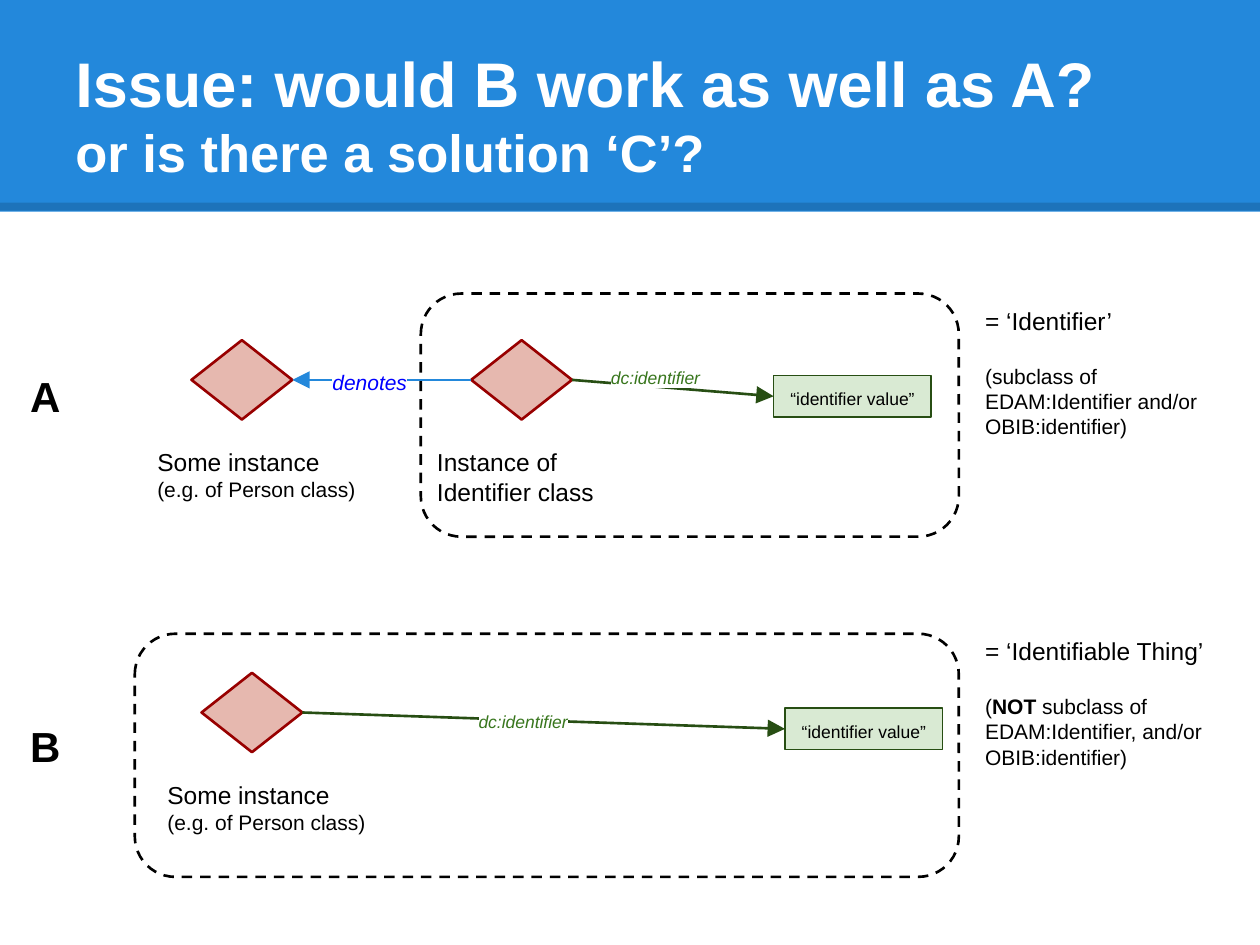
from lxml.etree import SubElement
from pptx import Presentation
from pptx.dml.color import RGBColor
from pptx.enum.dml import MSO_LINE
from pptx.enum.shapes import MSO_CONNECTOR, MSO_SHAPE
from pptx.enum.text import MSO_ANCHOR
from pptx.oxml.ns import qn
from pptx.util import Inches, Pt

COLORS = {
    "band": "2388DB", "white": "FFFFFF", "black": "000000", "blue": "0000FF",
    "pink": "E6B8AF", "red": "980000", "mint": "D9EAD3",
    "forest": "274E13", "green": "38761D",
}
WIDTH, HEIGHT, BAND_HEIGHT = 10, 7.5, 1.68
LEFT, RIGHT = 1, 3  # connection sites
DIAMOND = (0.8, 0.63)
VALUE = (1.25, 0.33)
VALUE_DROP = 0.28  # value box top below the diamond top
CAPTION_DROP = 0.75  # caption top below the diamond top
FRAME_RIGHT, FRAME_HEIGHT = 7.61, 1.93
NOTE_LEFT, NOTE_WIDTH = 7.72, 2.06

# Text is a list of paragraphs; a paragraph is a list of (words, format) spans.
TITLE = [[("Issue: would B work as well as A?", {"size": 36})],
         [("or is there a solution ‘C’?", {"size": 30})]]
PERSON = [[("Some instance", {})], [("(e.g. of Person class)", {"size": 12})]]
IDENTIFIER = [[("Instance of Identifier class", {})]]
SMALL = {"size": 12}

ROWS = [
    {"letter": "A", "letter_top": 2.84, "top": 2.7, "frame": (3.34, 2.33),
     "nodes": [(1.52, 1.15, 1.88, PERSON), (3.74, 3.37, 1.53, IDENTIFIER)],
     "value_left": 6.14, "label": (4.75, 2.83), "note_top": 2.33,
     "note": [[("= ‘Identifier’", {})],
              [("(subclass of EDAM:Identifier and/or OBIB:identifier)", SMALL)]]},
    {"letter": "B", "letter_top": 5.62, "top": 5.34, "frame": (1.07, 5.03),
     "nodes": [(1.6, 1.23, 1.79, PERSON)],
     "value_left": 6.23, "label": (3.7, 5.56), "note_top": 4.95,
     "note": [[("= ‘Identifiable Thing’", {})],
              [("(", SMALL), ("NOT", {"size": 12, "bold": True}),
               (" subclass of EDAM:Identifier, and/or OBIB:identifier)", SMALL)]]},
]

deck = Presentation()
deck.slide_width, deck.slide_height = Inches(WIDTH), Inches(HEIGHT)
page = deck.slides.add_slide(deck.slide_layouts[6])


def rgb(name):
    return RGBColor.from_string(COLORS[name])


def write(box, paragraphs, size=14, color="black", bold=False, italic=False,
          highlight=None, anchor=MSO_ANCHOR.TOP, gap=0):
    """Fill a shape with text; gap is the space in points between paragraphs."""
    frame = box.text_frame
    frame.word_wrap = True
    frame.vertical_anchor = anchor
    frame.margin_left = frame.margin_right = Inches(0.1)
    frame.margin_top = frame.margin_bottom = Inches(0.1)
    for index, spans in enumerate(paragraphs):
        para = frame.add_paragraph() if index else frame.paragraphs[0]
        para.space_before = Pt(gap if index else 0)
        for words, own in spans:
            span = para.add_run()
            span.text = words
            font = span.font
            font.name = "Arial"
            font.size = Pt(own.get("size", size))
            font.bold = own.get("bold", bold)
            font.italic = italic
            font.color.rgb = rgb(color)
            if highlight:
                properties = span._r.get_or_add_rPr()
                mark = SubElement(properties, qn("a:highlight"))
                SubElement(mark, qn("a:srgbClr"), val=COLORS[highlight])
                properties.find(qn("a:solidFill")).addnext(mark)


def add_text(left, top, width, height, paragraphs, **style):
    box = page.shapes.add_textbox(*map(Inches, (left, top, width, height)))
    write(box, paragraphs, **style)


def add_box(kind, left, top, width, height, fill=None, line=None, weight=1.5):
    box = page.shapes.add_shape(kind, *map(Inches, (left, top, width, height)))
    box.shadow.inherit = False
    if fill:
        box.fill.solid()
        box.fill.fore_color.rgb = rgb(fill)
    else:
        box.fill.background()
    if line:
        box.line.color.rgb = rgb(line)
        box.line.width = Pt(weight)
    else:
        box.line.fill.background()
    return box


def add_line(color, weight, left=0, top=0, right=0, bottom=0):
    line = page.shapes.add_connector(
        MSO_CONNECTOR.STRAIGHT, *map(Inches, (left, top, right, bottom)))
    line.line.color.rgb = rgb(color)
    line.line.width = Pt(weight)
    SubElement(line._element.spPr, qn("a:effectLst"))
    return line


def add_arrow(start, start_site, end, end_site, color):
    arrow = add_line(color, 1.5)
    arrow.begin_connect(start, start_site)
    arrow.end_connect(end, end_site)
    SubElement(arrow.line._get_or_add_ln(), qn("a:tailEnd"),
               type="triangle", w="lg", len="lg")


def add_row(row):
    frame_left, frame_top = row["frame"]
    frame = add_box(MSO_SHAPE.ROUNDED_RECTANGLE, frame_left, frame_top,
                    FRAME_RIGHT - frame_left, FRAME_HEIGHT, line="black")
    frame.line.dash_style = MSO_LINE.DASH

    top = row["top"]
    diamonds = []
    for left, caption_left, caption_width, caption in row["nodes"]:
        diamonds.append(add_box(MSO_SHAPE.DIAMOND, left, top, *DIAMOND, "pink", "red"))
        add_text(caption_left, top + CAPTION_DROP, caption_width, 0.61, caption)

    value = add_box(MSO_SHAPE.RECTANGLE, row["value_left"], top + VALUE_DROP,
                    *VALUE, "mint", "forest", 0.75)
    write(value, [[("“identifier value”", {})]], size=10)
    add_arrow(diamonds[-1], RIGHT, value, LEFT, "forest")
    add_text(*row["label"], 1.07, 0.33, [[("dc:identifier", {})]],
             size=10, color="green", italic=True, highlight="white")
    if len(diamonds) > 1:
        person, identifier = diamonds
        add_arrow(identifier, LEFT, person, RIGHT, "band")
        add_text(2.54, 2.83, 0.83, 0.33, [[("denotes", {})]],
                 size=12, color="blue", italic=True, highlight="white")

    add_text(NOTE_LEFT, row["note_top"], NOTE_WIDTH, 0.61, row["note"], gap=16)
    add_text(0.14, row["letter_top"], 0.52, 0.61, [[(row["letter"], {})]],
             size=24, bold=True)


add_box(MSO_SHAPE.RECTANGLE, 0, 0, WIDTH, BAND_HEIGHT, "band")
edge = add_line("black", 4.5, 0, 1.64, WIDTH, 1.64)
edge_color = edge.line._get_or_add_ln().find(qn("a:solidFill"))[0]
SubElement(edge_color, qn("a:alpha"), val="15000")
add_text(0.5, 0.3, 9, 1.25, TITLE, color="white", bold=True, anchor=MSO_ANCHOR.BOTTOM)
for row in ROWS:
    add_row(row)

deck.save("out.pptx")
